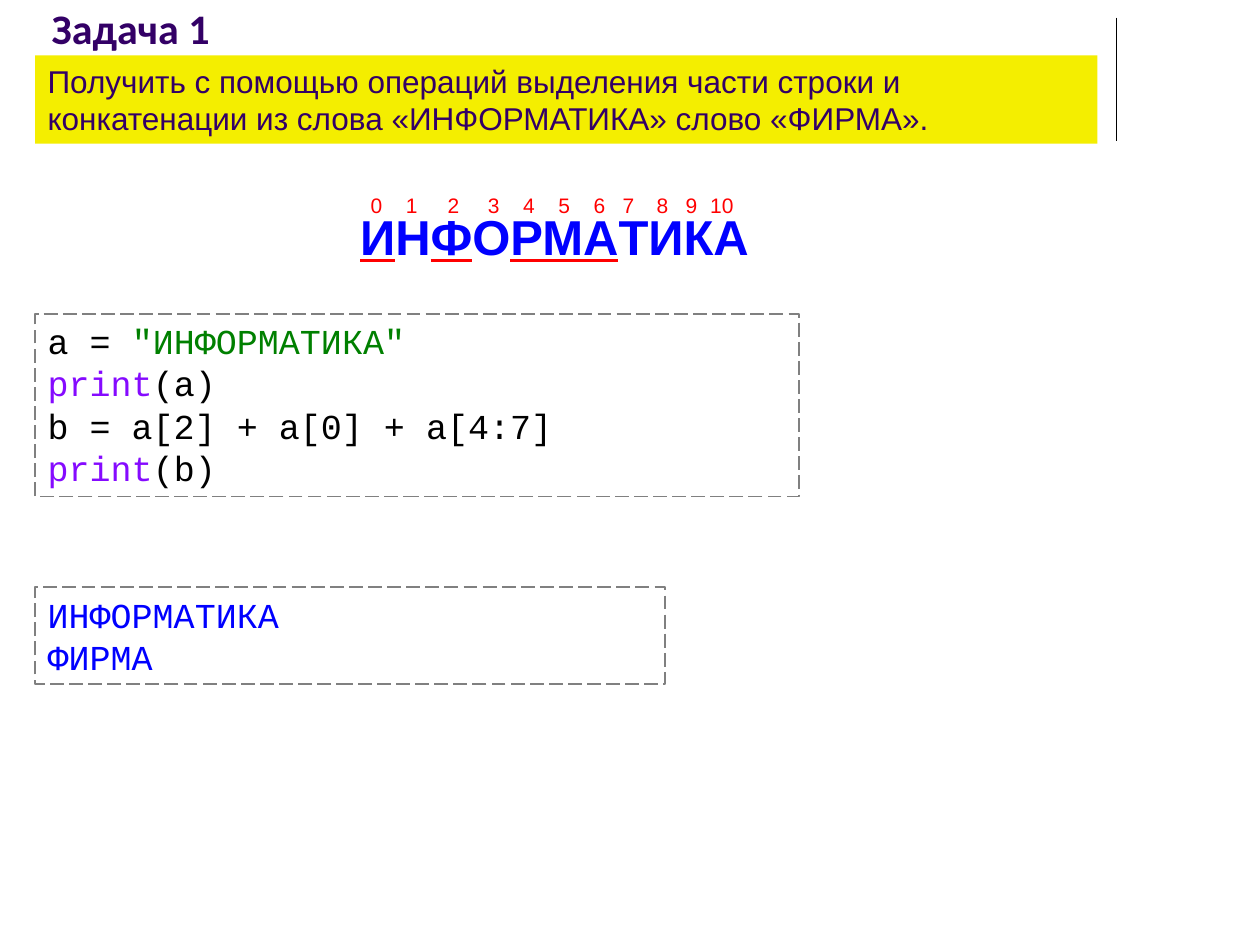
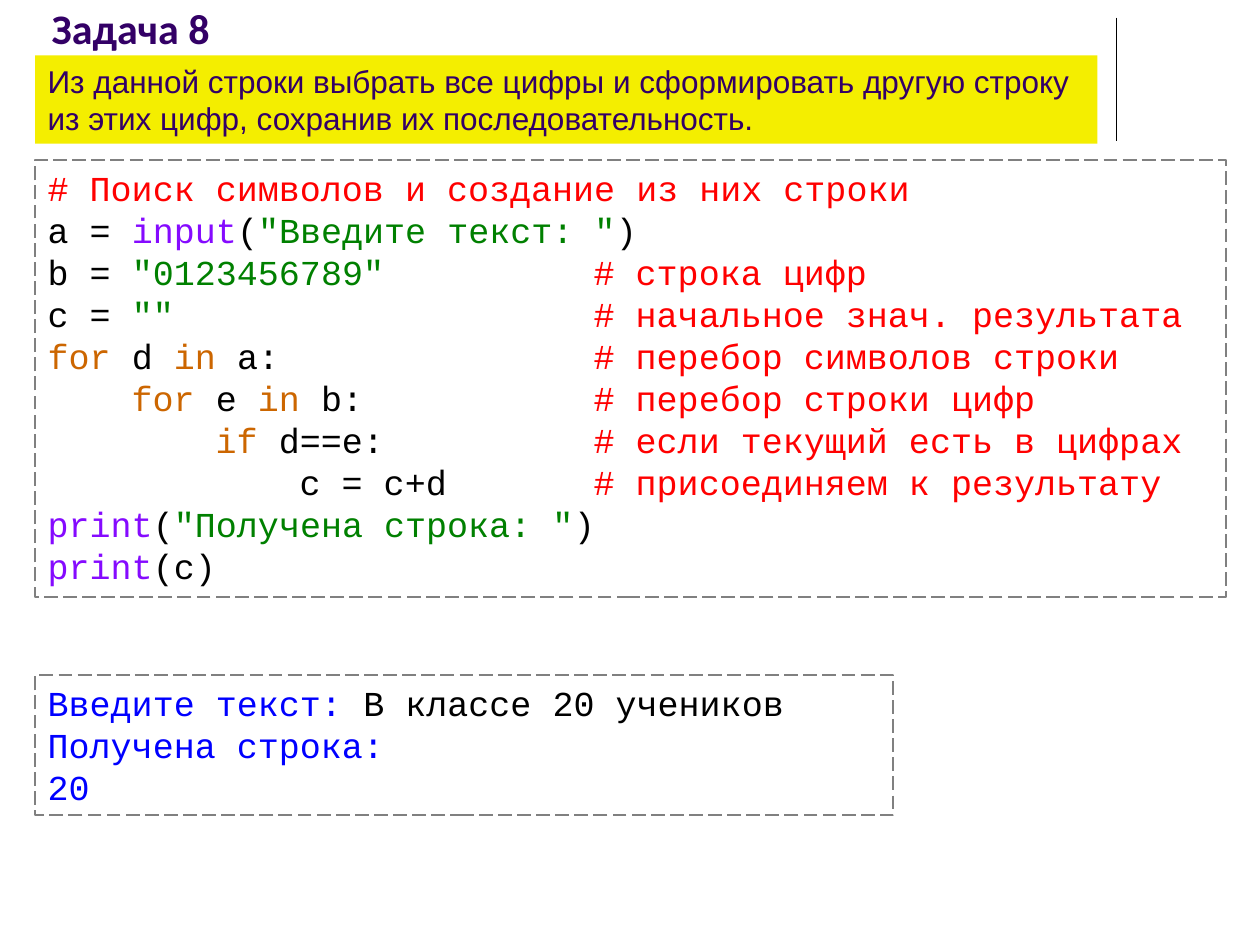
from lxml.etree import SubElement
from pptx import Presentation
from pptx.dml.color import RGBColor
from pptx.enum.dml import MSO_LINE
from pptx.enum.shapes import MSO_CONNECTOR, MSO_SHAPE
from pptx.enum.text import MSO_ANCHOR, MSO_AUTO_SIZE, PP_ALIGN
from pptx.oxml.ns import qn
from pptx.util import Inches, Pt

BLACK, WHITE, GRAY = "000000", "FFFFFF", "808080"
PURPLE, YELLOW = "330066", "F4EE00"
RED, BLUE, GREEN = "FF0000", "0000FF", "008000"
VIOLET, ORANGE = "850AFF", "CC6600"
LEFT = 0.28
CHAR_W = 1 / 6
COMMENT_COL = 26

WORD = [("И", True), ("Н", False), ("Ф", True), ("О", False), ("РМА", True), ("ТИКА", False)]
INDEX_X = [0.13, 0.41, 0.74, 1.06, 1.34, 1.62, 1.9, 2.13, 2.4, 2.63, 2.87]

TASKS = [
    {
        "title": "Задача 1",
        "task": "Получить с помощью операций выделения части строки и "
                "конкатенации из слова «ИНФОРМАТИКА» слово «ФИРМА».",
        "code_at": (2.49, 6.06, 1.45),
        "code": [
            (0, [("a = ", BLACK), ('"ИНФОРМАТИКА"', GREEN)], ""),
            (0, [("print", VIOLET), ("(a)", BLACK)], ""),
            (0, [("b = a[2] + a[0] + a[4:7]", BLACK)], ""),
            (0, [("print", VIOLET), ("(b)", BLACK)], ""),
        ],
        "output_at": (4.66, 5, 0.77),
        "output": [[("ИНФОРМАТИКА", BLUE)], [("ФИРМА", BLUE)]],
        "word": WORD,
    },
    {
        "title": "Задача 8",
        "task": "Из данной строки выбрать все цифры и сформировать другую строку "
                "из этих цифр, сохранив их последовательность.",
        "code_at": (1.27, 9.45, 3.47),
        "code": [
            (0, [("# Поиск символов и создание из них строки", RED)], ""),
            (0, [("a = ", BLACK), ("input", VIOLET), ("(", BLACK),
                 ('"Введите текст: "', GREEN), (")", BLACK)], ""),
            (0, [("b = ", BLACK), ('"0123456789"', GREEN)], "# строка цифр"),
            (0, [("c = ", BLACK), ('""', GREEN)], "# начальное знач. результата"),
            (0, [("for", ORANGE), (" d ", BLACK), ("in", ORANGE), (" a:", BLACK)],
             "# перебор символов строки"),
            (1, [("for", ORANGE), (" e ", BLACK), ("in", ORANGE), (" b:", BLACK)],
             "# перебор строки цифр"),
            (2, [("if", ORANGE), (" d==e:", BLACK)], "# если текущий есть в цифрах"),
            (3, [("c = c+d", BLACK)], "# присоединяем к результату"),
            (0, [("print", VIOLET), ("(", BLACK), ('"Получена строка: "', GREEN),
                 (")", BLACK)], ""),
            (0, [("print", VIOLET), ("(c)", BLACK)], ""),
        ],
        "output_at": (5.36, 6.81, 1.11),
        "output": [[("Введите текст: ", BLUE), ("В классе 20 учеников", BLACK)],
                   [("Получена строка:", BLUE)], [("20", BLUE)]],
    },
]


def rgb(color):
    return RGBColor.from_string(color)


def set_tabs(p, stops, align="l"):
    tabs = SubElement(p._p.get_or_add_pPr(), qn("a:tabLst"))
    for x in stops:
        SubElement(tabs, qn("a:tab"), pos=str(Inches(x)), algn=align)


def write_line(tf, spans, size, font, tabs=(), tab_align="l"):
    p = tf.paragraphs[0]
    if p.runs:
        p = tf.add_paragraph()
    if tabs:
        set_tabs(p, tabs, tab_align)
    p.alignment = PP_ALIGN.LEFT
    p.font.size, p.font.name = Pt(size), font
    for text, color in spans:
        r = p.add_run()
        r.text = text
        target = p if len(spans) == 1 else r
        target.font.color.rgb = rgb(color)
    return p


def prepare(tf):
    tf.word_wrap = True
    tf.auto_size = MSO_AUTO_SIZE.SHAPE_TO_FIT_TEXT
    tf.vertical_anchor = MSO_ANCHOR.TOP
    return tf


def add_box(slide, top, width, height, fill=None, dashed=True):
    sp = slide.shapes.add_shape(MSO_SHAPE.RECTANGLE, Inches(LEFT), Inches(top),
                                Inches(width), Inches(height))
    sp.shadow.inherit = False
    if fill:
        sp.fill.solid()
        sp.fill.fore_color.rgb = rgb(fill)
    else:
        sp.fill.background()
    if dashed:
        sp.line.color.rgb = rgb(GRAY)
        sp.line.width = Pt(1)
        sp.line.dash_style = MSO_LINE.LONG_DASH
    else:
        sp.line.fill.background()
    return prepare(sp.text_frame)


def add_header(slide, title, task):
    rule = slide.shapes.add_connector(MSO_CONNECTOR.STRAIGHT, Inches(8.86), Inches(0.14),
                                      Inches(8.86), Inches(1.12))
    rule.line.color.rgb = rgb(BLACK)
    rule.line.width = Pt(0.75)
    SubElement(rule._element.spPr, qn("a:effectLst"))

    sp = slide.shapes.title
    sp.left, sp.top, sp.width, sp.height = Inches(0.31), 0, Inches(8.25), Inches(0.47)
    tf = sp.text_frame
    tf.auto_size = MSO_AUTO_SIZE.NONE
    tf.vertical_anchor = MSO_ANCHOR.BOTTOM
    write_line(tf, [(title, PURPLE)], 24, "Calibri").font.bold = True

    write_line(add_box(slide, 0.44, 8.43, 0.7, YELLOW, dashed=False),
               [(task, PURPLE)], 18, "Arial")


def add_code(slide, at, lines):
    tf = add_box(slide, *at, fill=WHITE)
    for level, spans, comment in lines:
        tabs = []
        if level:
            tabs.append(4 * level * CHAR_W)
            spans = [("\t" + spans[0][0], spans[0][1])] + spans[1:]
        if comment:
            tabs.append(COMMENT_COL * CHAR_W)
            spans = spans + [("\t" + comment, RED)]
        write_line(tf, spans, 20, "Courier New", tabs)


def add_output(slide, at, lines):
    tf = add_box(slide, *at)
    for spans in lines:
        write_line(tf, spans, 20, "Courier New")


def add_indexed_word(slide, word):
    sp = slide.shapes.add_textbox(Inches(2.76), Inches(1.52), Inches(3.38), Inches(0.64))
    tf = prepare(sp.text_frame)
    indices = "".join(f"\t{i}" for i in range(len(INDEX_X)))
    write_line(tf, [(indices, RED)], 12, "Arial", INDEX_X, "ctr").line_spacing = 0.8
    p = write_line(tf, [(letters, BLUE) for letters, _ in word], 28, "Arial")
    p.line_spacing = 0.8
    p.font.bold = True
    for r, (_, used) in zip(p.runs, word):
        r.font.underline = used
        if used:
            line = SubElement(r._r.get_or_add_rPr(), qn("a:uFill"))
            fill = SubElement(line, qn("a:solidFill"))
            SubElement(fill, qn("a:srgbClr"), val=RED)


def main():
    prs = Presentation()
    prs.slide_width, prs.slide_height = Inches(10), Inches(7.5)
    for task in TASKS:
        slide = prs.slides.add_slide(prs.slide_layouts[5])
        add_header(slide, task["title"], task["task"])
        add_code(slide, task["code_at"], task["code"])
        if "word" in task:
            add_indexed_word(slide, task["word"])
        add_output(slide, task["output_at"], task["output"])
    prs.save("out.pptx")


if __name__ == "__main__":
    main()
